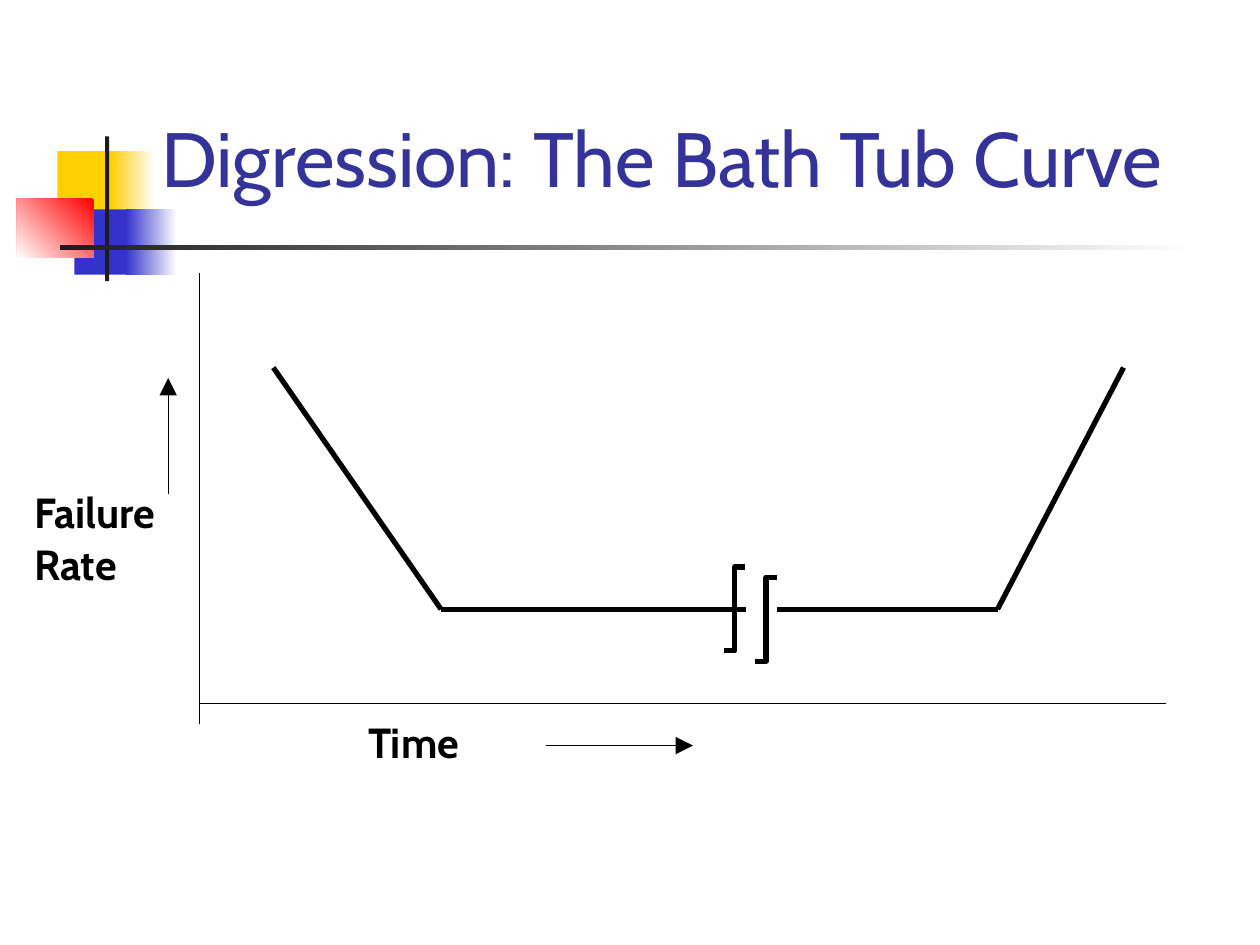
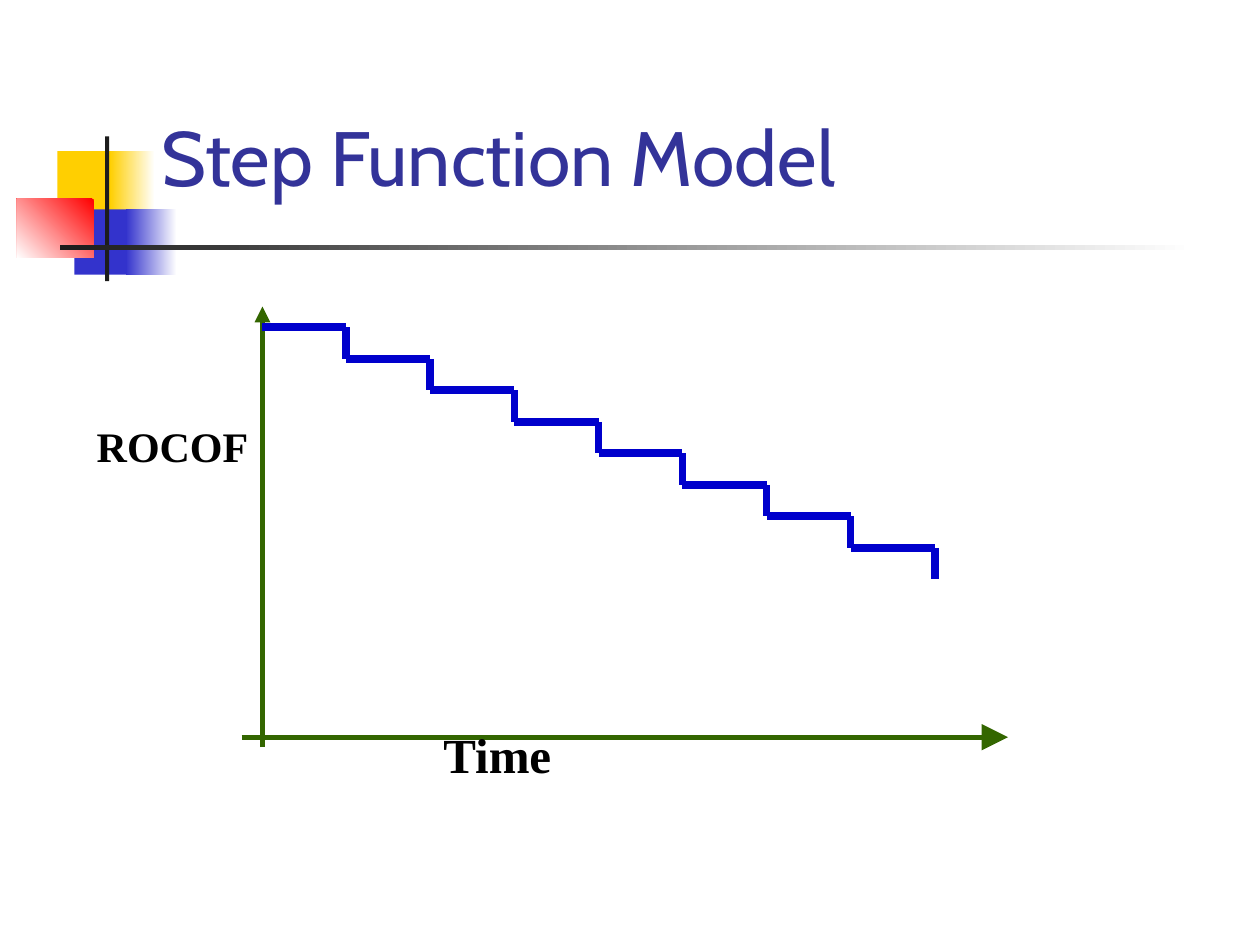
from pptx import Presentation
from pptx import util as u
from pptx.dml import color
from pptx.enum import shapes, text
from pptx.oxml import ns
from lxml import etree

Cm, Pt = u.Cm, u.Pt
STRAIGHT, ELBOW = shapes.MSO_CONNECTOR.STRAIGHT, shapes.MSO_CONNECTOR.ELBOW
RECT = shapes.MSO_SHAPE.RECTANGLE
TITLE, BLACK, GREEN, BLUE = "333399", "000000", "336600", "0000CC"
FRAME = {"margin_left": Cm(0.05), "margin_right": Cm(0.05), "margin_top": Cm(0.13),
         "margin_bottom": Cm(0.13), "word_wrap": True, "auto_size": text.MSO_AUTO_SIZE.NONE}


def rgb(value):
    return color.RGBColor.from_string(value)


def add_line(s, x1, y1, x2, y2, ink, width, arrow=None, kind=STRAIGHT):
    c = s.shapes.add_connector(kind, Cm(x1), Cm(y1), Cm(x2), Cm(y2))
    c.line.color.rgb = rgb(ink)
    c.line.width = Pt(width)
    if arrow:
        etree.SubElement(c.line._get_or_add_ln(), ns.qn("a:tailEnd"),
                         type="triangle", w=arrow, len=arrow)
    etree.SubElement(c._element.spPr, ns.qn("a:effectLst"))


prs = Presentation()
prs.slide_width, prs.slide_height = Cm(25.4), Cm(19.05)
layout = prs.slide_layouts[5]
bath = prs.slides.add_slide(layout)
step = prs.slides.add_slide(layout)

decoration = [
    (1.16, 3.05, 1.2, 1.32, ["FFCF01"], 0),
    (2.22, 3.05, 0.9, 1.32, ["FFFFFF", "FFCF01"], 180),
    (1.5, 4.22, 1.17, 1.32, ["3333CC"], 0),
    (2.54, 4.22, 1.02, 1.32, ["FFFFFF", "3333CC"], 180),
    (0.34, 4.01, 1.55, 1.19, ["FF0000", "FFFFFF"], 225),
    (2.12, 2.75, 0.08, 2.92, ["1C1C1C"], 0),
    (1.22, 4.94, 22.86, 0.1, ["FFFFFF", "1C1C1C"], 180),
]
for x, y, w, h, inks, angle in decoration:
    sp = bath.shapes.add_shape(RECT, Cm(x), Cm(y), Cm(w), Cm(h))
    sp.shadow.inherit = False
    sp.line.fill.background()
    if len(inks) == 1:
        sp.fill.solid()
        sp.fill.fore_color.rgb = rgb(inks[0])
    else:
        sp.fill.gradient()
        sp.fill.gradient_angle = angle
        for stop, ink in zip(sp.fill.gradient_stops, inks):
            stop.color.rgb = rgb(ink)
    layout.shapes._spTree.append(sp._element)

curve = [(5.51, 7.41), (8.89, 12.28), (15.03, 12.28), (15.66, 12.28), (20.11, 12.28), (22.65, 7.41)]
for i in (0, 1, 3, 4):
    add_line(bath, *curve[i], *curve[i + 1], BLACK, 3)
for x, y in [(15.03, 11.43), (15.66, 11.64)]:
    add_line(bath, x, y, x - 0.43, y + 1.69, BLACK, 3, kind=ELBOW)
add_line(bath, 4.02, 14.18, 23.5, 14.18, BLACK, 0.75)
add_line(bath, 4.02, 14.6, 4.02, 5.5, BLACK, 0.75)
add_line(bath, 11, 15.03, 13.97, 15.03, BLACK, 0.75, "lg")
add_line(bath, 3.39, 9.95, 3.39, 7.62, BLACK, 0.75, "lg")

add_line(step, 5.29, 15.06, 5.29, 6.18, GREEN, 3, "med")
add_line(step, 4.87, 14.86, 20.32, 14.86, GREEN, 3, "lg")
steps = 8
run, drop = 13.55 / steps, 5.08 / steps
for i in range(steps):
    x, y = 5.29 + i * run, 6.6 + i * drop
    add_line(step, x, y, x + run, y, BLUE, 4.5)
    add_line(step, x + run, y, x + run, y + drop, BLUE, 4.5)

middle, top = text.MSO_ANCHOR.MIDDLE, text.MSO_ANCHOR.TOP
texts = [
    (bath.shapes.title, (3.2, 1.35, 21.64, 3.91), ["Digression: The Bath Tub Curve"], "Cabin", 44, 5.4),
    (bath.shapes.add_textbox(0, 0, 0, 0), (7.37, 14.48, 2.59, 1.27), ["Time"], "Cabin", 24, 5.6),
    (bath.shapes.add_textbox(0, 0, 0, 0), (0.64, 9.83, 3.43, 2.46), ["Failure", "Rate"], "Cabin", 24, 5.6),
    (step.shapes.title, (3.2, 1.7, 21.64, 3.18), ["Step Function Model"], "Cabin", 44, 5.4),
    (step.shapes.add_textbox(0, 0, 0, 0), (1.9, 8.51, 4.22, 1.27), ["ROCOF"], "Times New Roman", 24, 13.8),
    (step.shapes.add_textbox(0, 0, 0, 0), (8.89, 14.66, 2.95, 1.45), ["Time"], "Times New Roman", 28, 16),
]
for sp, box, lines, font, size, before in texts:
    sp.left, sp.top, sp.width, sp.height = map(Cm, box)
    is_title = sp.is_placeholder
    tf = sp.text_frame
    for name, value in FRAME.items():
        setattr(tf, name, value)
    tf.vertical_anchor = middle if is_title else top
    tf.text = "\n".join(lines)
    for p in tf.paragraphs:
        for name, value in {"alignment": text.PP_ALIGN.LEFT, "line_spacing": 0.85,
                            "space_before": Pt(before)}.items():
            setattr(p, name, value)
        r = p.runs[0]
        for name, value in {"name": font, "size": Pt(size), "bold": not is_title}.items():
            setattr(r.font, name, value)
        r.font.color.rgb = rgb(TITLE if is_title else BLACK)

prs.save("out.pptx")
